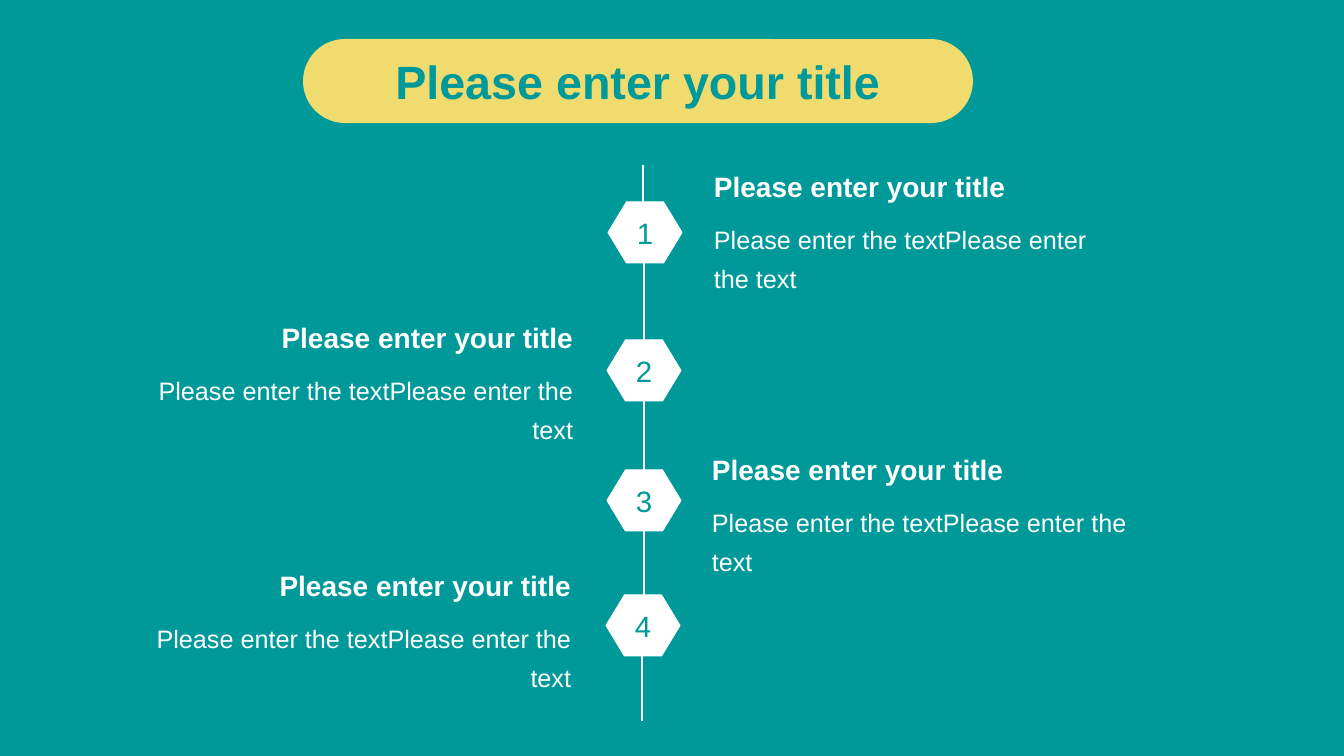
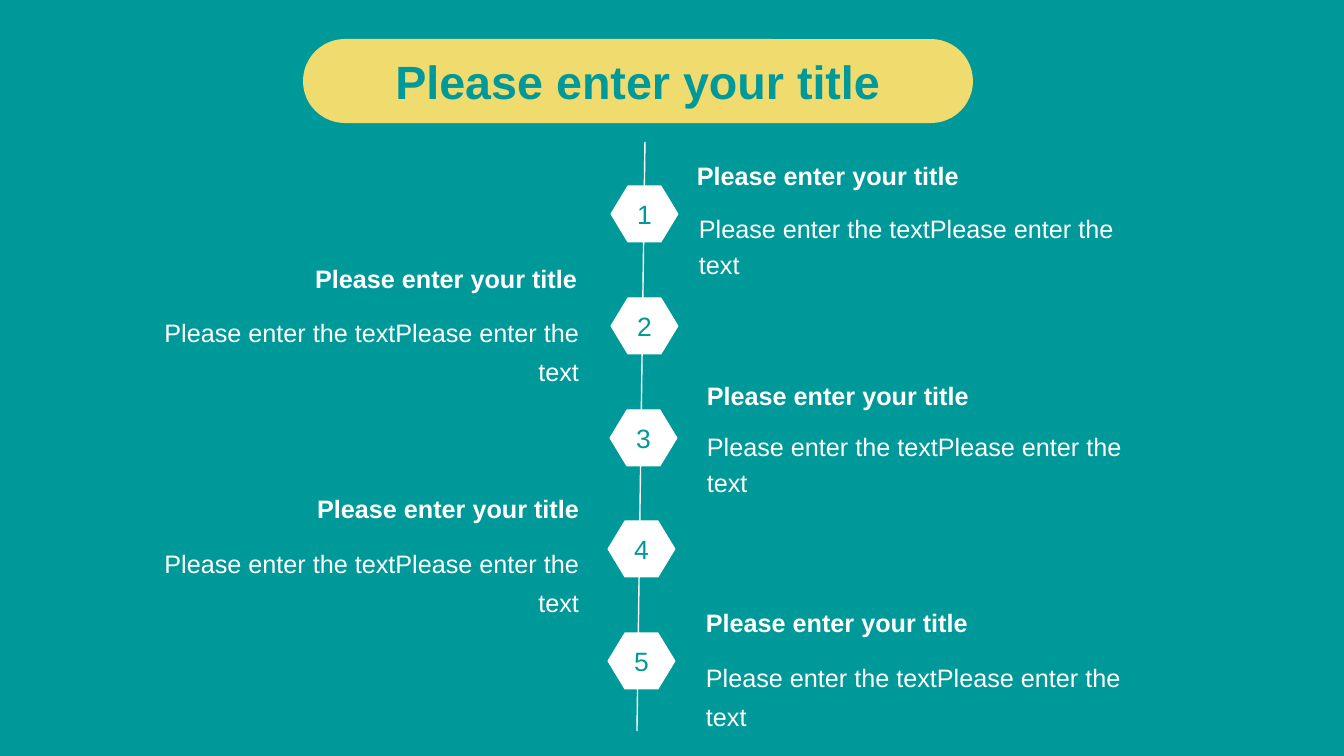
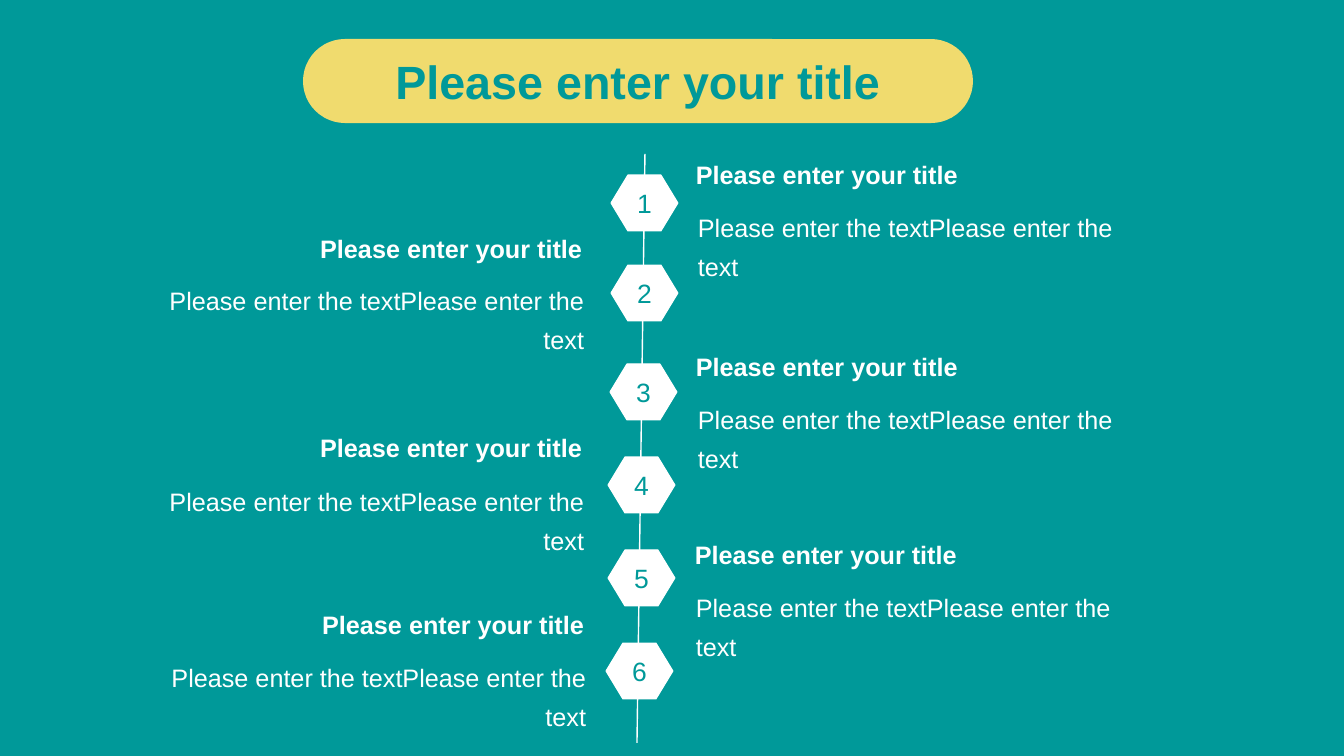
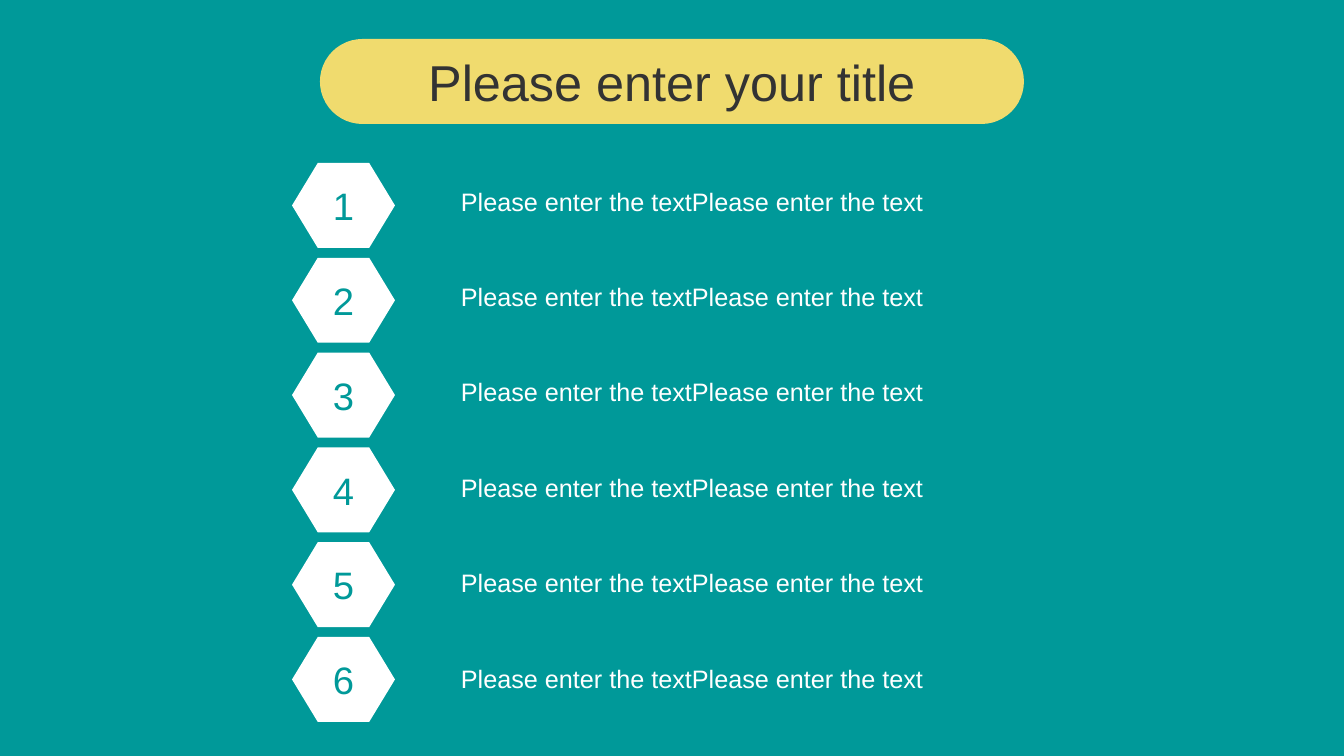
"""Build four numbered-list slides with hexagon markers on a teal background."""
from lxml import etree
from pptx import Presentation
from pptx.dml.color import RGBColor
from pptx.enum.shapes import MSO_CONNECTOR, MSO_SHAPE
from pptx.enum.text import MSO_ANCHOR, PP_ALIGN
from pptx.oxml.ns import qn
from pptx.util import Emu, Pt

TEAL = RGBColor(0x00, 0x99, 0x99)
YELLOW = RGBColor(0xF0, 0xDB, 0x6E)
WHITE = RGBColor(0xFF, 0xFF, 0xFF)
DARK = RGBColor(0x33, 0x33, 0x33)
FONT = "Arial"

TITLE = "Please enter your title"
BODY = "Please enter the textPlease enter the text"

TIMELINES = [
    {
        "lines": [(643, 165, 643, 202), (644, 255, 644, 350), (644, 396, 644, 510),
                  (644, 531, 644, 604), (642, 648, 642, 721)],
        "hexagon": (74, 61), "number_size": 21, "heading_size": 20,
        "steps": [
            {"hexagon": (608, 202), "heading": (704, 168, 434), "body": (704, 210, 430)},
            {"hexagon": (607, 340), "heading": (147, 319, 436), "body": (147, 361, 436)},
            {"hexagon": (607, 470), "heading": (702, 451, 436), "body": (702, 493, 436)},
            {"hexagon": (606, 595), "heading": (145, 567, 436), "body": (145, 609, 436)},
        ],
    },
    {
        "lines": [(645, 142, 637, 731)],
        "hexagon": (67, 56), "number_size": 18.9, "heading_size": 18,
        "steps": [
            {"hexagon": (611, 186), "heading": (687, 159, 460), "body": (689, 202, 458), "spacing": 1.2},
            {"hexagon": (611, 298), "heading": (123, 262, 464), "body": (123, 303, 466)},
            {"hexagon": (610, 410), "heading": (697, 379, 458), "body": (697, 420, 458), "spacing": 1.2},
            {"hexagon": (608, 521), "heading": (123, 492, 466), "body": (123, 534, 466)},
            {"hexagon": (608, 633), "heading": (696, 606, 460), "body": (696, 648, 460)},
        ],
    },
    {
        "lines": [(645, 154, 637, 743)],
        "hexagon": (67, 56), "number_size": 18.9, "heading_size": 18,
        "steps": [
            {"hexagon": (611, 175), "heading": (686, 158, 475), "body": (688, 198, 474)},
            {"hexagon": (611, 265), "heading": (134, 232, 458), "body": (134, 271, 460)},
            {"hexagon": (610, 364), "heading": (686, 350, 476), "body": (688, 390, 474)},
            {"hexagon": (608, 457), "heading": (132, 431, 460), "body": (134, 472, 460)},
            {"hexagon": (608, 550), "heading": (685, 538, 476), "body": (686, 578, 476)},
            {"hexagon": (606, 643), "heading": (134, 608, 460), "body": (134, 648, 462)},
        ],
    },
]
AGENDA = [BODY] * 6
HEADING_HEIGHT, BODY_HEIGHT = 42, 92


def px(*lengths):
    return [Emu(round(length * 914400 / 100.8)) for length in lengths]


def write(shape, text, size, color=WHITE, bold=False, align=PP_ALIGN.LEFT,
          anchor=MSO_ANCHOR.TOP, spacing=1.0):
    frame = shape.text_frame
    frame.word_wrap = True
    frame.vertical_anchor = anchor
    paragraph = frame.paragraphs[0]
    paragraph.text = text
    paragraph.alignment = align
    paragraph.line_spacing = spacing
    font = paragraph.font
    font.name, font.size, font.bold = FONT, Pt(size), bold
    font.color.rgb = color


def add_text(slide, box, text, size, **style):
    write(slide.shapes.add_textbox(*px(*box)), text, size, **style)


def add_label(slide, kind, box, text, size, fill, adjustment, outlined=False, **style):
    shape = slide.shapes.add_shape(kind, *px(*box))
    shape.shadow.inherit = False
    shape.adjustments[0] = adjustment
    shape.fill.solid()
    shape.fill.fore_color.rgb = fill
    if outlined:
        shape.line.color.rgb = fill
        shape.line.width = Pt(0.75)
    else:
        shape.line.fill.background()
    write(shape, text, size, align=PP_ALIGN.CENTER, anchor=MSO_ANCHOR.MIDDLE, **style)


def add_title(slide, box, size, **style):
    add_label(slide, MSO_SHAPE.ROUNDED_RECTANGLE, box, TITLE, size, YELLOW, 0.5, **style)


def add_hexagon(slide, box, number, size, outlined=False):
    add_label(slide, MSO_SHAPE.HEXAGON, box, str(number), size, WHITE, 0.303,
              outlined=outlined, color=TEAL)


def add_line(slide, ends):
    line = slide.shapes.add_connector(MSO_CONNECTOR.STRAIGHT, *px(*ends))
    line.line.color.rgb = WHITE
    line.line.width = Pt(1)
    etree.SubElement(line._element.spPr, qn("a:effectLst"))


def add_timeline(slide, timeline):
    add_title(slide, (303, 39, 670, 84), 33.3, color=TEAL, bold=True)
    for ends in timeline["lines"]:
        add_line(slide, ends)
    for number, step in enumerate(timeline["steps"], 1):
        align = PP_ALIGN.LEFT if number % 2 else PP_ALIGN.RIGHT
        add_hexagon(slide, step["hexagon"] + timeline["hexagon"], number,
                    timeline["number_size"], outlined=True)
        add_text(slide, step["heading"] + (HEADING_HEIGHT,), TITLE,
                 timeline["heading_size"], bold=True, align=align, spacing=0.9)
        add_text(slide, step["body"] + (BODY_HEIGHT,), BODY, 18,
                 align=align, spacing=step.get("spacing", 1.3))


def add_agenda(slide, items):
    add_title(slide, (320, 39, 704, 85), 36, color=DARK)
    hexagon_pitch = (637 - 163) / (len(items) - 1)
    text_pitch = (625 - 148) / (len(items) - 1)
    for index, text in enumerate(items):
        add_hexagon(slide, (292, 163 + index * hexagon_pitch, 103, 85), index + 1, 27.3)
        add_text(slide, (451, 148 + index * text_pitch, 573, 97), text, 18,
                 anchor=MSO_ANCHOR.MIDDLE, spacing=1.3)


def main():
    presentation = Presentation()
    presentation.slide_width, presentation.slide_height = px(1344, 756)
    background = presentation.slide_master.background.fill
    background.solid()
    background.fore_color.rgb = TEAL
    blank = presentation.slide_layouts[6]
    for timeline in TIMELINES:
        add_timeline(presentation.slides.add_slide(blank), timeline)
    add_agenda(presentation.slides.add_slide(blank), AGENDA)
    presentation.save("out.pptx")


if __name__ == "__main__":
    main()
